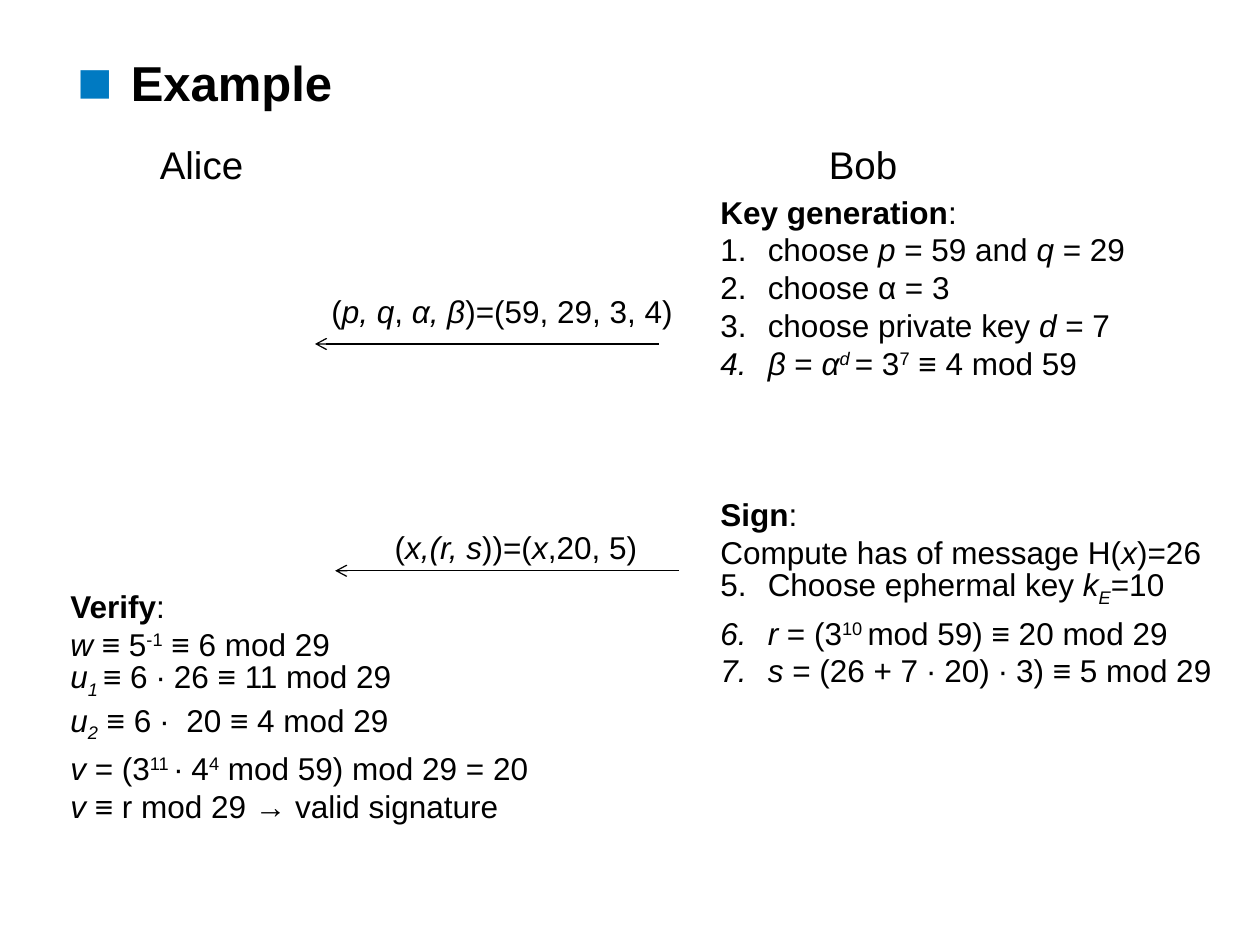
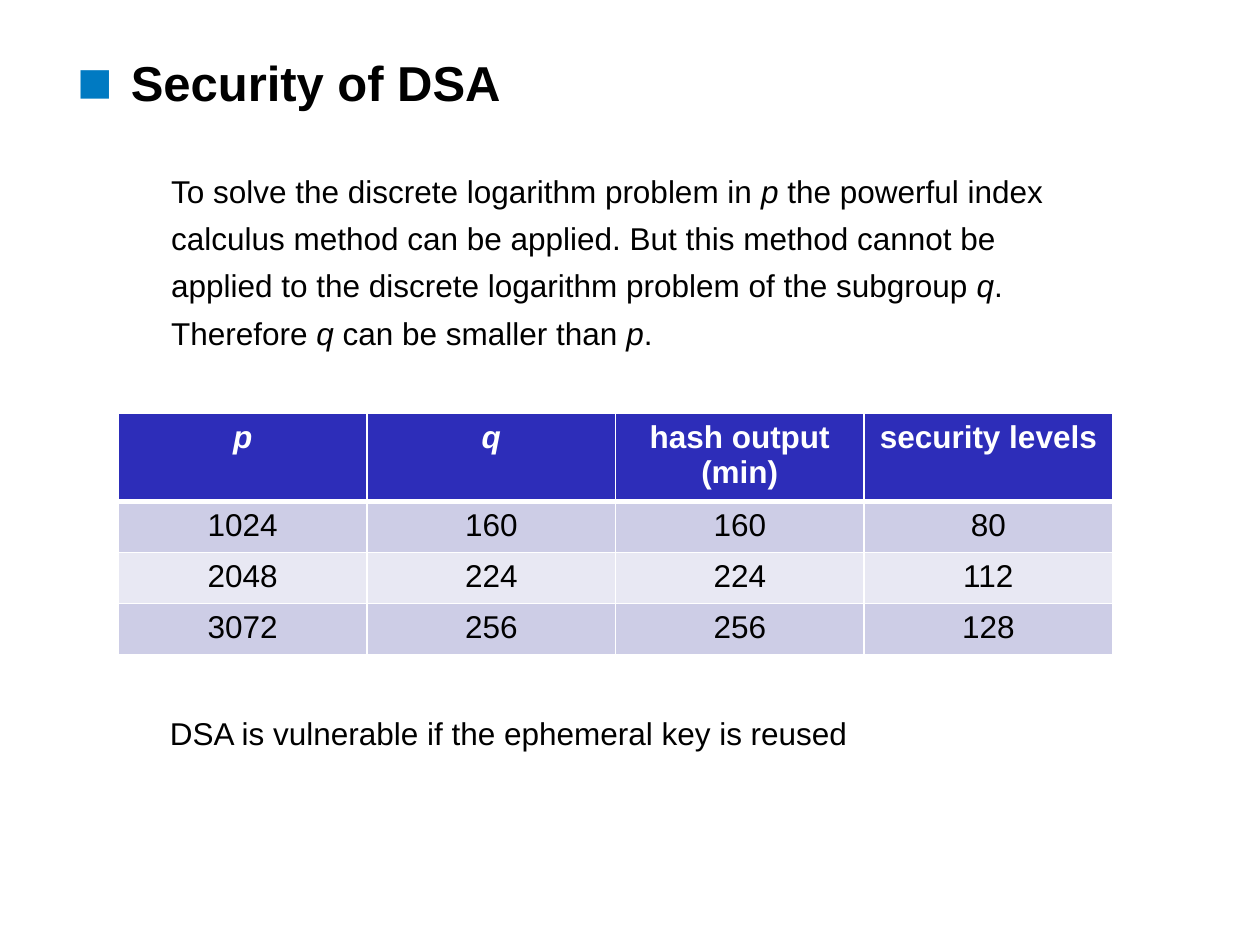
import pptx
import pptx.dml.color
import pptx.enum.shapes
import pptx.enum.text
import pptx.oxml
import pptx.oxml.ns
import pptx.util
from lxml import etree

COLORS = {
    "text": "000000",
    "accent": "007AC2",
    "header": "2D2DB9",
    "band_dark": "CDCDE6",
    "band_light": "E8E8F3",
    "white": "FFFFFF",
}
FONT = "Arial"
BODY, NAME, TITLE = 18, 22, 28
LEADING = 1.2            # line height as a share of the text size
COLUMNS, ROWS = 100, 75  # layout grid on every slide
MARKS = {"*": "italic", "#": "bold", "^": "super", "_": "sub"}
BASELINES = {"super": "30000", "sub": "-25000"}
CENTER = pptx.enum.text.PP_ALIGN.CENTER


def add_xml(parent, tag, **attributes):
    element = etree.SubElement(parent, pptx.oxml.ns.qn(tag))
    for name, value in attributes.items():
        element.set(name, str(value))
    return element


def rgb(name):
    return pptx.dml.color.RGBColor.from_string(COLORS[name])


class Deck:
    def __init__(self, prs):
        self.prs = prs
        self.s = None

    def x(self, columns):
        return round(self.prs.slide_width * columns / COLUMNS)

    def y(self, rows):
        return round(self.prs.slide_height * rows / ROWS)

    def box(self, left, top, width, height):
        return self.x(left), self.y(top), self.x(width), self.y(height)

    def new_slide(self, title):
        self.s = self.prs.slides.add_slide(self.prs.slide_layouts[6])
        p = self.text([f"#{title}#"], (5.2, 3.7, 70.7, 5.6), TITLE)[0]
        pPr = self.indent(p, 4.2, -4.2)
        color = add_xml(pPr, "a:buClr")
        add_xml(color, "a:srgbClr", val=COLORS["accent"])
        add_xml(pPr, "a:buSzPct", val=120000)
        add_xml(pPr, "a:buFont", typeface=FONT)
        add_xml(pPr, "a:buChar", char="■")

    def indent(self, p, left, first=0):
        pPr = p._p.get_or_add_pPr()
        pPr.set("marL", str(self.x(left)))
        pPr.set("indent", str(self.x(first)))
        return pPr

    def number(self, p, start):
        pPr = self.indent(p, 3.75, -3.75)
        add_xml(pPr, "a:buFont", typeface=FONT)
        add_xml(pPr, "a:buAutoNum", type="arabicPeriod", startAt=start)

    def fill_paragraph(self, p, text, size, color="text", align=None):
        """Write text in which each mark of MARKS switches its style on or off."""
        p.font.name, p.font.size = FONT, pptx.util.Pt(size)
        p.font.color.rgb = rgb(color)
        p.alignment = align
        active, piece = set(), ""
        for char in text + "\0":
            if char not in MARKS and char != "\0":
                piece += char
                continue
            if piece:
                self.add_run(p, piece, active)
                piece = ""
            active ^= {MARKS.get(char)}

    def add_run(self, p, text, styles):
        r = p.add_run()
        r.text = text
        r.font.italic = "italic" in styles or None
        r.font.bold = "bold" in styles or None
        for style in styles & BASELINES.keys():
            r._r.get_or_add_rPr().set("baseline", BASELINES[style])

    def text(self, lines, at, size=BODY, align=None, leading=LEADING):
        tf = self.s.shapes.add_textbox(*self.box(*at)).text_frame
        tf.word_wrap = True
        for i, line in enumerate(lines):
            p = tf.paragraphs[0] if i == 0 else tf.add_paragraph()
            self.fill_paragraph(p, line, size, align=align)
            p.line_spacing = pptx.util.Pt(size * leading)
            if "_" in line:
                p.space_after = pptx.util.Pt(3)  # room for the subscript
        return tf.paragraphs

    def arrow(self, start, end, row):
        line = self.s.shapes.add_connector(
            pptx.enum.shapes.MSO_CONNECTOR.STRAIGHT,
            self.x(start), self.y(row), self.x(end), self.y(row))
        line.line.color.rgb = rgb("text")
        line.line.width = pptx.util.Pt(0.75)
        add_xml(line.line._get_or_add_ln(), "a:tailEnd", type="arrow")
        add_xml(line._element.spPr, "a:effectLst")

    def cell(self, cell, text, fill, color, borders):
        self.fill_paragraph(cell.text_frame.paragraphs[0], text, BODY, color, CENTER)
        tcPr = cell._tc.get_or_add_tcPr()
        for side, width in borders.items():
            ln = add_xml(tcPr, f"a:ln{side}", w=pptx.util.Pt(width))
            add_xml(add_xml(ln, "a:solidFill"), "a:srgbClr", val=COLORS["white"])
        cell.fill.solid()
        cell.fill.fore_color.rgb = rgb(fill)

    def table(self, rows, at, heights):
        table = self.s.shapes.add_table(len(rows), len(rows[0]), *self.box(*at)).table
        for i, (values, height) in enumerate(zip(rows, heights)):
            table.rows[i].height = self.y(height)
            borders = {"L": 1, "R": 1, "T": 3 if i == 1 else 1, "B": 3 if i == 0 else 1}
            band = "band_dark" if i % 2 else "band_light"
            fill, color = (band, "text") if i else ("header", "white")
            for j, value in enumerate(values):
                label = str(value) if i else f"#{value}#"
                self.cell(table.cell(i, j), label, fill, color, borders)


def build_example(deck):
    deck.new_slide("Example")
    deck.text(["Alice"], (11.7, 10.7, 10.2, 4.7), NAME)
    deck.text(["Bob"], (64.8, 10.7, 20.3, 4.7), NAME)
    deck.arrow(52.3, 25, 27.3)
    deck.arrow(53.9, 26.6, 45.3)

    key_generation = [
        "#Key generation#:",
        "choose *p* = 59 and *q* = 29",
        "choose α = 3",
        "choose private key *d* = 7",
        "*β* = *α^d ^*= 3^7^ ≡ 4 mod 59",
    ]
    sign = [
        "#Sign#:",
        "Compute has of message H(*x*)=26",
        "Choose ephermal key *k_E_*=10",
        "*r* = (3^10 ^mod 59) ≡ 20 mod 29",
        "*s* = (26 + 7 ∙ 20) ∙ 3) ≡ 5 mod 29",
    ]
    bob = deck.text(key_generation + sign, (56.2, 14.8, 41.4, 40.4))
    sign_start = len(key_generation)
    bob[sign_start].space_before = pptx.util.Pt(3 * BODY * LEADING)
    for p in bob[1:sign_start]:
        deck.number(p, 1)
    for p in bob[sign_start + 2:]:
        deck.number(p, 5)

    deck.text(["(*p, q*, *α, β*)=(59, 29, 3, 4)"], (25, 22.7, 29.7, 4), align=CENTER)
    deck.text(["(*x,(r, s*))=(*x*,20, 5)"], (27.3, 41.4, 27.3, 4), align=CENTER)
    deck.text([
        "#Verify#:",
        "*w* ≡ 5^-1^ ≡ 6 mod 29",
        "*u_1 _*≡ 6 ∙ 26 ≡ 11 mod 29",
        "*u_2_* ≡ 6 ∙  20 ≡ 4 mod 29",
        "*v* = (3^11 ^∙ 4^4^ mod 59) mod 29 = 20",
        "*v* ≡ r mod 29 → valid signature",
    ], (4.6, 46.1, 45.4, 19.2))


def build_security(deck):
    deck.new_slide("Security of DSA")
    reason = deck.text([
        "To solve the discrete logarithm problem in *p* the powerful index calculus "
        "method can be applied. But this method cannot be applied to the discrete "
        "logarithm problem of the subgroup *q*. Therefore *q* can be smaller than *p*.",
    ], (9.3, 12.4, 79, 54.8), leading=1.25 * LEADING)
    deck.indent(reason[0], 3.3)
    deck.table([
        ["*p*", "*q*", "hash output (min)", "security levels"],
        [1024, 160, 160, 80],
        [2048, 224, 224, 112],
        [3072, 256, 256, 128],
    ], (9.4, 32.8, 78.9, 19.2), [7, 4.05, 4.05, 4.05])
    deck.text(["DSA is vulnerable if the ephemeral key is reused"], (12.5, 56.2, 80.5, 4))


def main():
    prs = pptx.Presentation()
    prs.slide_width = pptx.util.Inches(10)
    prs.slide_height = pptx.util.Inches(7.5)
    deck = Deck(prs)
    build_example(deck)
    build_security(deck)
    prs.save("out.pptx")


if __name__ == "__main__":
    main()
